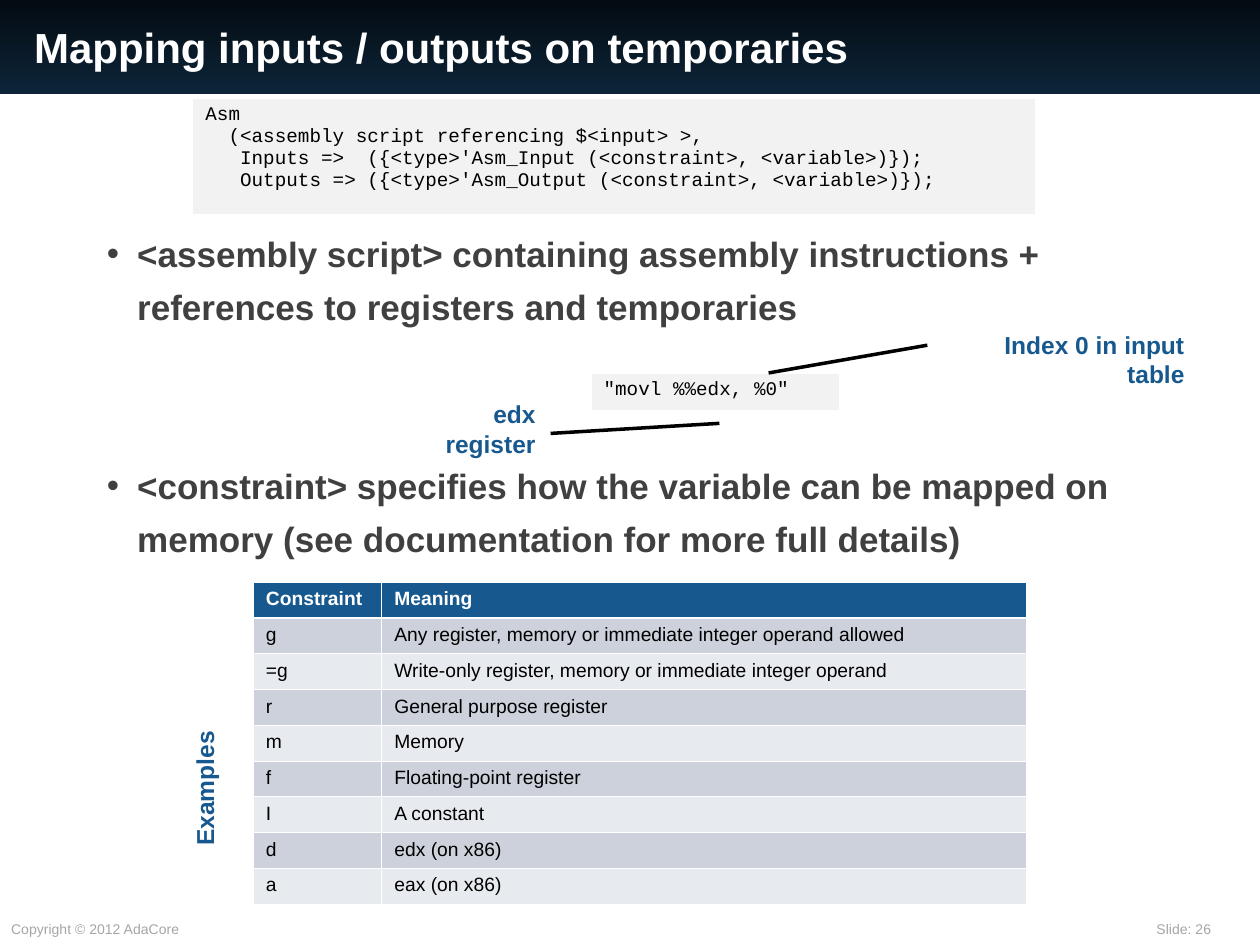
from dataclasses import dataclass

from lxml import etree
from pptx import Presentation
from pptx.dml.color import RGBColor as RGB
from pptx.enum.shapes import MSO_CONNECTOR as CONN, MSO_SHAPE as SHAPE
from pptx.enum.text import MSO_ANCHOR as ANCHOR, PP_ALIGN as ALIGN
from pptx.oxml.ns import qn
from pptx.util import Inches, Pt


@dataclass(frozen=True)
class Theme:
    """Colours, fonts and type sizes of the slide."""
    sans: str = "Arial"
    mono: str = "Courier New"
    bar_top: str = "040B11"
    bar_bottom: str = "0D253A"
    white: str = "FFFFFF"
    black: str = "000000"
    body: str = "404040"
    accent: str = "17598F"
    footer: str = "A6A6A6"
    code_fill: str = "F2F2F2"
    bands: tuple = ("CCD1DB", "E7EAEE")
    title_pt: int = 24
    body_pt: int = 20
    label_pt: int = 14
    table_pt: int = 11
    footer_pt: int = 8
    thin: float = 0.45
    thick: float = 1.47


T = Theme()
CODE = [
    "Asm",
    "  (<assembly script referencing $<input> >,",
    "   Inputs =>  ({<type>'Asm_Input (<constraint>, <variable>)});",
    "   Outputs => ({<type>'Asm_Output (<constraint>, <variable>)});",
]
BULLETS = [
    "<assembly script> containing assembly instructions + references to registers and temporaries",
    "<constraint> specifies how the variable can be mapped on memory "
    "(see documentation for more full details)",
]
CONSTRAINTS = [
    ("Constraint", "Meaning"),
    ("g", "Any register, memory or immediate integer operand allowed"),
    ("=g", "Write-only register, memory or immediate integer operand"),
    ("r", "General purpose register"),
    ("m", "Memory"),
    ("f", "Floating-point register"),
    ("I", "A constant"),
    ("d", "edx (on x86)"),
    ("a", "eax (on x86)"),
]


def inches(box):
    """Turn a box of numbers into lengths."""
    return [Inches(v) for v in box]


def write(tf, lines, size, color, bold=False, font=T.sans, align=ALIGN.LEFT):
    """Fill a text frame with one paragraph per line."""
    for i, line in enumerate(lines):
        p = tf.paragraphs[0] if i == 0 else tf.add_paragraph()
        p.alignment = align
        r = p.add_run()
        r.text = line
        for name, value in dict(name=font, size=Pt(size), bold=bold).items():
            setattr(r.font, name, value)
        r.font.color.rgb = RGB.from_string(color)


def add_label(s, box, text, size=T.label_pt, color=T.accent, bold=True,
              align=ALIGN.RIGHT, rotation=0):
    """Place a one-line text box."""
    sp = s.shapes.add_textbox(*inches(box))
    sp.rotation = rotation
    sp.text_frame.word_wrap = False
    write(sp.text_frame, [text], size, color, bold, align=align)


def add_header(s, box, text):
    """Place the gradient bar and the title over it."""
    left, top, width, height = box
    bar = s.shapes.add_shape(SHAPE.RECTANGLE, *inches(box))
    bar.shadow.inherit = False
    bar.line.fill.background()
    bar.fill.gradient()
    bar.fill.gradient_angle = 270
    for stop, color in zip(bar.fill.gradient_stops, (T.bar_top, T.bar_bottom)):
        stop.color.rgb = RGB.from_string(color)
    title = s.shapes.title
    title.element.addprevious(bar.element)
    place = inches((left + 0.18, top + 0.08, 8.75, height - 0.17))
    for name, value in zip(("left", "top", "width", "height"), place):
        setattr(title, name, value)
    title.text_frame.vertical_anchor = ANCHOR.MIDDLE
    write(title.text_frame, [text], T.title_pt, T.white, True)


def add_bullets(s, box, lines):
    """Place the main bullet points with room between them."""
    tf = s.shapes.add_textbox(*inches(box)).text_frame
    tf.word_wrap = True
    write(tf, lines, T.body_pt, T.body, True)
    for i, p in enumerate(tf.paragraphs):
        p.line_spacing = 1.26
        p.space_before = Pt(72 if i else 0)
        pPr = p._p.get_or_add_pPr()
        pPr.set("marL", str(Inches(0.24)))
        pPr.set("indent", str(-Inches(0.24)))
        color = etree.SubElement(pPr, qn("a:buClr"))
        etree.SubElement(color, qn("a:srgbClr"), val=T.body)
        etree.SubElement(pPr, qn("a:buFont"), typeface=T.sans)
        etree.SubElement(pPr, qn("a:buChar"), char="•")


def style_cell(cell, lines, fill, top=T.thin, bottom=T.thin, **text):
    """Give a cell its white borders, fill and text."""
    tcPr = cell._tc.get_or_add_tcPr()
    for side, width in dict(L=T.thin, R=T.thin, T=top, B=bottom).items():
        ln = etree.SubElement(tcPr, qn(f"a:ln{side}"), w=str(Pt(width)))
        solid = etree.SubElement(ln, qn("a:solidFill"))
        etree.SubElement(solid, qn("a:srgbClr"), val=T.white)
    cell.fill.solid()
    cell.fill.fore_color.rgb = RGB.from_string(fill)
    write(cell.text_frame, lines, T.table_pt, **text)


def add_grid(s, box, rows, widths):
    """Place a plain table with equal rows."""
    table = s.shapes.add_table(rows, len(widths), *inches(box)).table
    table.first_row = table.horz_banding = False
    for col, width in zip(table.columns, widths):
        col.width = Inches(width)
    return table


def add_code(s, box, lines):
    """Place a one-cell table that holds code."""
    table = add_grid(s, box, 1, [box[2]])
    style_cell(table.cell(0, 0), lines, T.code_fill, bottom=T.thick,
               color=T.black, font=T.mono)


def add_constraints(s, box, rows):
    """Place the banded constraint table and its side label."""
    left, top, width, height = box
    table = add_grid(s, box, len(rows), [1.02, width - 1.02])
    for i, row in enumerate(rows):
        head = i == 0
        for j, text in enumerate(row):
            style_cell(table.cell(i, j), [text],
                       T.accent if head else T.bands[(i - 1) % 2],
                       top=T.thick if i == 1 else T.thin,
                       bottom=T.thick if head else T.thin,
                       color=T.white if head else T.black, bold=head)
    add_label(s, (left - 0.94, top + 1.47, 1.11, 0.34), "Examples", rotation=270)


def add_pointer(s, start, end):
    """Draw a black line from a label to the code."""
    line = s.shapes.add_connector(CONN.STRAIGHT, *inches(start + end))
    line.line.width = Pt(2)
    line.line.color.rgb = RGB.from_string(T.black)
    etree.SubElement(line.element.spPr, qn("a:effectLst"))


def add_example(s, box):
    """Place the instruction with its two labelled operands."""
    left, top, width, height = box
    add_code(s, box, ['"movl %%edx, %0"'])
    add_pointer(s, (left - 0.32, top + 0.48), (left + 1.02, top + 0.4))
    add_pointer(s, (left + 2.67, top - 0.22), (left + 1.41, top))
    add_label(s, (left + 2.68, top - 0.39, 2.13, 0.34), "Index 0 in input table")
    add_label(s, (left - 1.64, top + 0.16, 1.3, 0.34), "edx register")


def add_footer(s, box):
    """Place the copyright line and the slide number."""
    left, top, width, height = box
    look = dict(size=T.footer_pt, color=T.footer, bold=False, align=ALIGN.LEFT)
    add_label(s, (left, top, 1.57, height), "Copyright © 2012 AdaCore", **look)
    add_label(s, (left + width - 0.91, top, 0.91, height), "Slide: 26", **look)


def main():
    """Build and save the slide."""
    prs = Presentation()
    prs.slide_width, prs.slide_height = Inches(10), Inches(7.5)
    s = prs.slides.add_slide(prs.slide_layouts[5])
    add_footer(s, (-0.01, 7.26, 10, 0.24))
    add_header(s, (-0.01, 0, 10.01, 0.75), "Mapping inputs / outputs on temporaries")
    add_bullets(s, (0.75, 1.71, 8.58, 2.7), BULLETS)
    add_code(s, (1.53, 0.78, 6.69, 0.93), CODE)
    add_example(s, (4.69, 2.96, 1.97, 0.3))
    add_constraints(s, (2.01, 4.62, 6.14, 2.55), CONSTRAINTS)
    prs.save("out.pptx")


if __name__ == "__main__":
    main()
